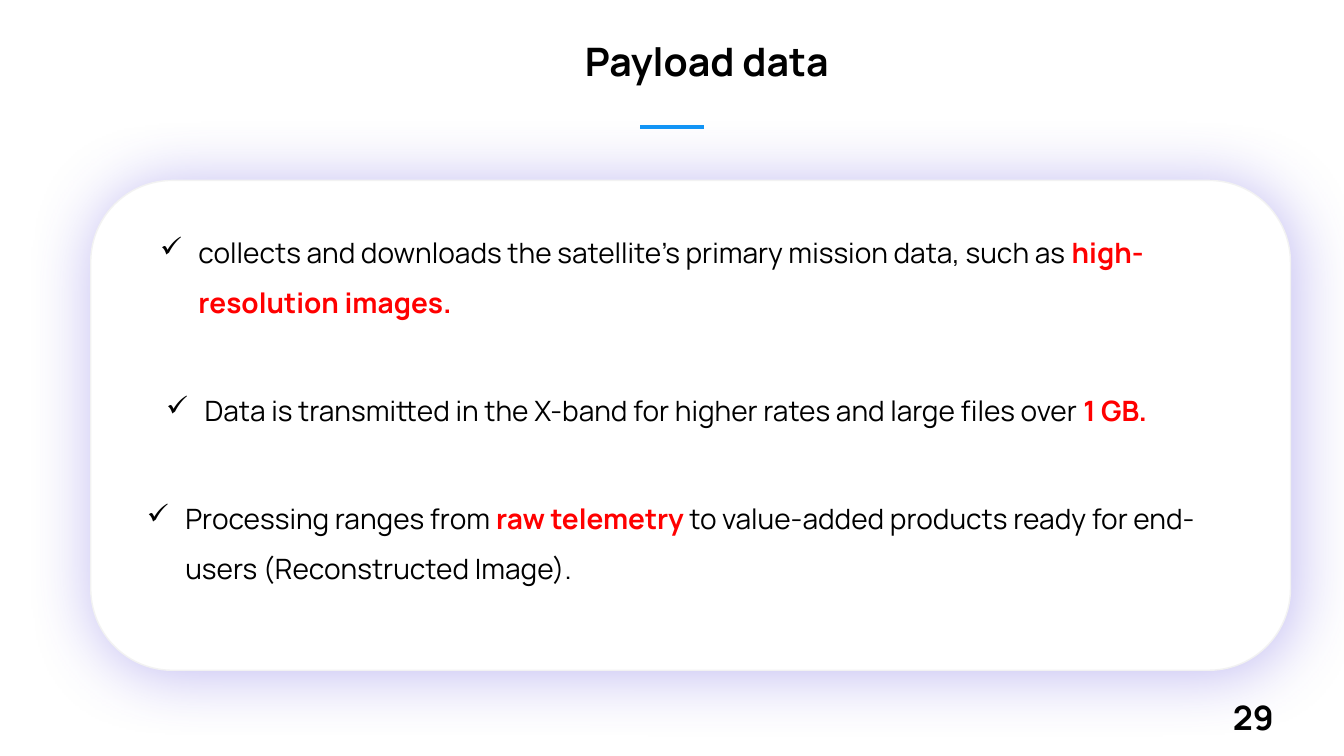
import pptx
import pptx.util
import pptx.dml.color
import pptx.enum.shapes
import pptx.enum.text
import pptx.oxml
import pptx.oxml.ns
from lxml import etree

TITLE = ("Payload data", (15.45, 4.27, 70.52, 7.6))
NUMBER = ("29", (91, 91.47, 7.28, 6.67))
RULE = (47.64, 52.36, 16.8)
CARD = (6.75, 23.87, 89.27, 64.8)
POINTS = [
    ((11.18, 28.27, 84.1, 14.13), [
        ("collects and downloads the satellite's primary mission data, such as ", False),
        ("high-resolution images.", True)]),
    ((11.63, 49.2, 83.2, 7.47), [
        ("Data is transmitted in the X-band for higher rates and large files over ", False),
        ("1 GB.", True)]),
    ((10.2, 63.47, 80.95, 14.13), [
        ("Processing ranges from ", False),
        ("raw telemetry ", True),
        ("to value-added products ready for end-users (Reconstructed Image).", False)]),
]
THEME = {
    "font": "Manrope", "ink": "000000", "hot": "FF0000", "rule": "1295F6",
    "card": "FFFFFF", "edge": "F2F2F2", "glow": "6151DE",
    "title": 28, "body": 20, "number": 24,
}

Pt = pptx.util.Pt
Inches = pptx.util.Inches
qn = pptx.oxml.ns.qn

deck = pptx.Presentation()
deck.slide_width = Inches(13.33)
deck.slide_height = Inches(7.5)
slide = deck.slides.add_slide(deck.slide_layouts[6])


def color(name):
    return pptx.dml.color.RGBColor.from_string(THEME[name])


def across(share):
    return int(deck.slide_width * share / 100)


def down(share):
    return int(deck.slide_height * share / 100)


def place(box):
    left, top, width, height = box
    return across(left), down(top), across(width), down(height)


def write(box, parts, size):
    frame = slide.shapes.add_textbox(*place(box)).text_frame
    frame.word_wrap = True
    frame.auto_size = pptx.enum.text.MSO_AUTO_SIZE.SHAPE_TO_FIT_TEXT
    line = frame.paragraphs[0]
    for text, ink, bold in parts:
        run = line.add_run()
        run.text = text
        run.font.name = THEME["font"]
        run.font.size = Pt(THEME[size])
        run.font.bold = bold
        run.font.color.rgb = color(ink)
    return line


def indent(line, left, first=0):
    props = line._p.get_or_add_pPr()
    props.set("marL", str(Inches(left)))
    props.set("indent", str(Inches(first)))
    return props


def glow(shape):
    effects = etree.SubElement(shape._element.spPr, qn("a:effectLst"))
    shadow = etree.SubElement(
        effects, qn("a:outerShdw"), blurRad=str(Pt(48)), dist=str(Pt(3)),
        dir=str(45 * 60000), algn="ctr", rotWithShape="0")
    tint = etree.SubElement(shadow, qn("a:srgbClr"), val=THEME["glow"])
    etree.SubElement(tint, qn("a:alpha"), val="40000")


def main():
    text, box = TITLE
    title = write(box, [(text, "ink", True)], "title")
    title.alignment = pptx.enum.text.PP_ALIGN.CENTER
    indent(title, 0.5)

    start, end, level = RULE
    rule = slide.shapes.add_connector(
        pptx.enum.shapes.MSO_CONNECTOR.STRAIGHT,
        across(start), down(level), across(end), down(level))
    rule.line.color.rgb = color("rule")
    rule.line.width = Pt(2.25)
    etree.SubElement(rule._element.spPr, qn("a:effectLst"))

    card = slide.shapes.add_shape(
        pptx.enum.shapes.MSO_SHAPE.ROUNDED_RECTANGLE, *place(CARD))
    card.fill.solid()
    card.fill.fore_color.rgb = color("card")
    card.line.color.rgb = color("edge")
    card.line.width = Pt(1)
    glow(card)

    for box, parts in POINTS:
        runs = [(text, "hot" if strong else "ink", strong) for text, strong in parts]
        point = write(box, runs, "body")
        point.line_spacing = 1.5
        props = indent(point, 0.38, -0.38)
        etree.SubElement(props, qn("a:buChar"), char="✓")

    text, box = NUMBER
    write(box, [(text, "ink", True)], "number")
    deck.save("out.pptx")


if __name__ == "__main__":
    main()
